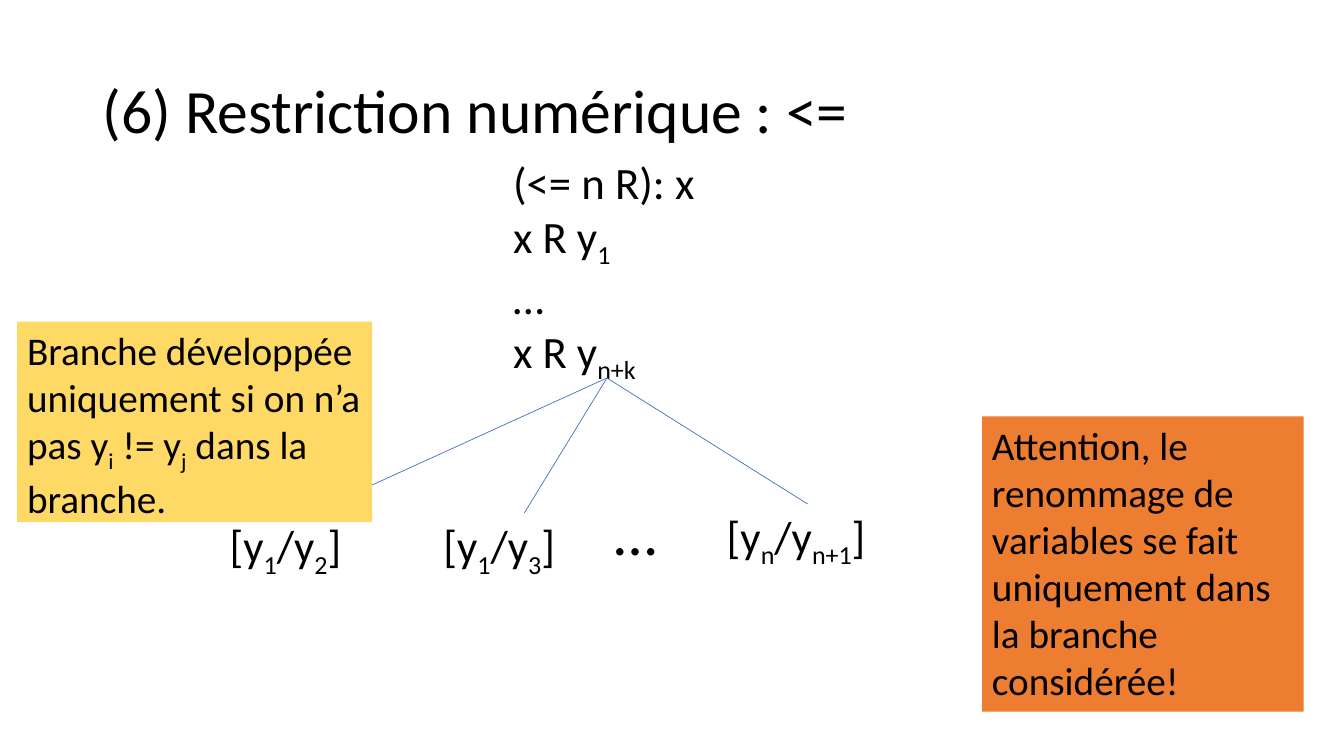
"""Build a slide on the numeric restriction rule and its branches."""
from lxml import etree
from pptx import Presentation
from pptx.dml.color import RGBColor
from pptx.enum import shapes, text
from pptx.oxml import ns
from pptx.util import Inches, Pt

BLACK = RGBColor(0x00, 0x00, 0x00)
BLUE = RGBColor(0x44, 0x72, 0xC4)
YELLOW = RGBColor(0xFF, 0xD9, 0x66)
ORANGE = RGBColor(0xED, 0x7D, 0x31)
FONT = "Calibri"
SUBSCRIPT_MARK = "_"

TITLE = "(6) Restriction numérique : <="
TITLE_BOX = (0.92, 0.4, 11.5, 1.45)
PREMISES = ["(<= n R): x", "x R y_1_", "…", "x R y_n+k_"]
PREMISES_BOX = (4.99, 1.49, 2.06, 2.26)
BRANCH_SIZE = (1.8, 0.64)
BRANCHES = [
    ("[y_1_/y_2_]", 2.18, 5.09),
    ("[y_1_/y_3_]", 4.3, 5.09),
    ("[y_n_/y_n+1_]", 7.11, 5),
]
ELLIPSIS_BOX = (6, 4.85, 0.9, 0.84)
NOTES = [
    ("Branche développée uniquement si on n’a pas y_i_ != y_j_ dans la branche.",
     (0.17, 3.19, 3.52, 1.99), YELLOW),
    ("Attention, le renommage de variables se fait uniquement dans la branche considérée!",
     (9.74, 4.13, 3.19, 2.93), ORANGE),
]


def add_text(slide, lines, box, size=32, fill=None, anchor=text.MSO_ANCHOR.TOP, spacing=1.0):
    """Add a box of lines in which marked parts are subscripts."""
    bounds = [Inches(length) for length in box]
    if fill is None:
        shape = slide.shapes.add_textbox(*bounds)
    else:
        shape = slide.shapes.add_shape(shapes.MSO_SHAPE.RECTANGLE, *bounds)
        shape.shadow.inherit = False
        shape.fill.solid()
        shape.fill.fore_color.rgb = fill
        shape.line.fill.background()
    frame = shape.text_frame
    frame.word_wrap = True
    frame.vertical_anchor = anchor
    for index, line in enumerate(lines):
        paragraph = frame.add_paragraph() if index else frame.paragraphs[0]
        paragraph.alignment = text.PP_ALIGN.LEFT
        paragraph.line_spacing = spacing
        for position, part in enumerate(line.split(SUBSCRIPT_MARK)):
            if not part:
                continue
            run = paragraph.add_run()
            run.text = part
            run.font.name = FONT
            run.font.size = Pt(size)
            run.font.color.rgb = BLACK
            if position % 2:
                run._r.get_or_add_rPr().set("baseline", "-25000")


def add_line(slide, start, end):
    """Add a thin blue line between two points."""
    points = [Inches(length) for length in (*start, *end)]
    connector = slide.shapes.add_connector(shapes.MSO_CONNECTOR.STRAIGHT, *points)
    connector.line.color.rgb = BLUE
    connector.line.width = Pt(0.5)
    etree.SubElement(connector._element.spPr, ns.qn("a:effectLst"))


def main():
    """Compose and save the slide."""
    presentation = Presentation()
    presentation.slide_width = Inches(13.33)
    presentation.slide_height = Inches(7.5)
    slide = presentation.slides.add_slide(presentation.slide_layouts[6])

    add_text(slide, [TITLE], TITLE_BOX, size=44, anchor=text.MSO_ANCHOR.MIDDLE, spacing=0.9)
    add_text(slide, PREMISES, PREMISES_BOX)

    left, top, width, height = PREMISES_BOX
    root = (left + width / 2, top + height)
    for label, left, top in BRANCHES:
        add_text(slide, [label], (left, top, *BRANCH_SIZE))
        add_line(slide, root, (left + BRANCH_SIZE[0] / 2, top))
    add_text(slide, ["…"], ELLIPSIS_BOX, size=44)

    for note, box, color in NOTES:
        add_text(slide, [note], box, size=28, fill=color)

    presentation.save("out.pptx")


if __name__ == "__main__":
    main()
